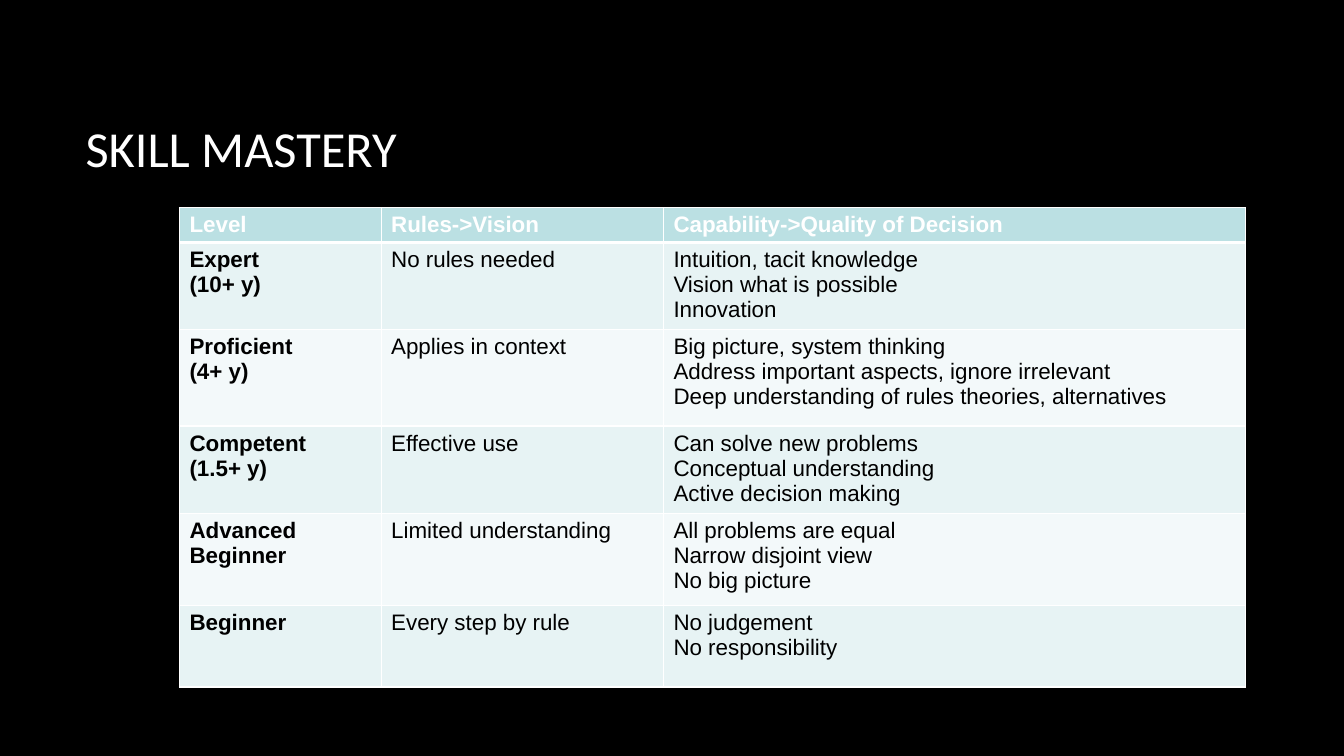
from lxml import etree
from pptx import Presentation
from pptx.dml.color import RGBColor
from pptx.enum import text as txt
from pptx.oxml import ns
from pptx.util import Inches, Pt

WHITE, BLACK = "FFFFFF", "000000"
HEAD, BANDS = "BBE0E3", ("E7F3F4", "F3F9FA")
COLS = (2, 2.8, 5.77)
ROWS = (0.34, 0.86, 0.96, 0.87, 0.91, 0.81)
BREAK, PARA = "\n", "\f"
LEVELS = (
    ("Level", "Rules->Vision", "Capability->Quality of Decision"),
    ("Expert\n(10+ y)", "No rules needed",
     "Intuition, tacit knowledge\nVision what is possible\nInnovation"),
    ("Proficient\f(4+ y)", "Applies in context",
     "Big picture, system thinking\nAddress important aspects, ignore irrelevant\n"
     "Deep understanding of rules theories, alternatives"),
    ("Competent\n(1.5+ y)", "Effective use",
     "Can solve new problems\nConceptual understanding\nActive decision making"),
    ("Advanced Beginner", "Limited understanding",
     "All problems are equal\nNarrow disjoint view\nNo big picture"),
    ("Beginner", "Every step by rule", "No judgement\nNo responsibility"),
)


def color(code):
    return RGBColor.from_string(code)


def paint(fill, code):
    fill.solid()
    fill.fore_color.rgb = color(code)


def write(frame, words, size, font, code, bold=False):
    for i, part in enumerate(words.split(PARA)):
        para = frame.add_paragraph() if i else frame.paragraphs[0]
        for j, line in enumerate(part.split(BREAK)):
            if j:
                para.add_line_break()
            run = para.add_run()
            run.text = line
            run.font.size = Pt(size)
            run.font.name = font
            run.font.bold = bold
            run.font.color.rgb = color(code)


def border(cell, side, width):
    line = etree.SubElement(cell._tc.get_or_add_tcPr(), ns.qn(f"a:ln{side}"), w=str(Pt(width)))
    fill = etree.SubElement(line, ns.qn("a:solidFill"))
    etree.SubElement(fill, ns.qn("a:srgbClr"), val=WHITE)


def add_title(slide, words):
    box = slide.shapes.add_textbox(Inches(0.75), Inches(0.67), Inches(11.08), Inches(1.59))
    frame = box.text_frame
    frame.word_wrap = True
    frame.vertical_anchor = txt.MSO_ANCHOR.MIDDLE
    write(frame, words, 36, "Calibri", WHITE)


def add_grid(slide):
    frame = slide.shapes.add_table(len(ROWS), len(COLS), Inches(1.78), Inches(2.06),
                                   Inches(sum(COLS)), Inches(sum(ROWS)))
    table = frame.table
    for col, width in zip(table.columns, COLS):
        col.width = Inches(width)
    for row, height in zip(table.rows, ROWS):
        row.height = Inches(height)
    for r, level in enumerate(LEVELS):
        for c, words in enumerate(level):
            cell = table.cell(r, c)
            write(cell.text_frame, words, 16, "Arial", BLACK if r else WHITE,
                  r == 0 or c == 0)
            border(cell, "L", 1)
            border(cell, "R", 1)
            border(cell, "T", 3 if r == 1 else 1)
            border(cell, "B", 3 if r == 0 else 1)
            paint(cell.fill, BANDS[(r - 1) % 2] if r else HEAD)


def main():
    deck = Presentation()
    deck.slide_width, deck.slide_height = Inches(13.33), Inches(7.5)
    slide = deck.slides.add_slide(deck.slide_layouts[6])
    paint(slide.background.fill, BLACK)
    add_grid(slide)
    add_title(slide, "SKILL MASTERY")
    deck.save("out.pptx")


if __name__ == "__main__":
    main()
